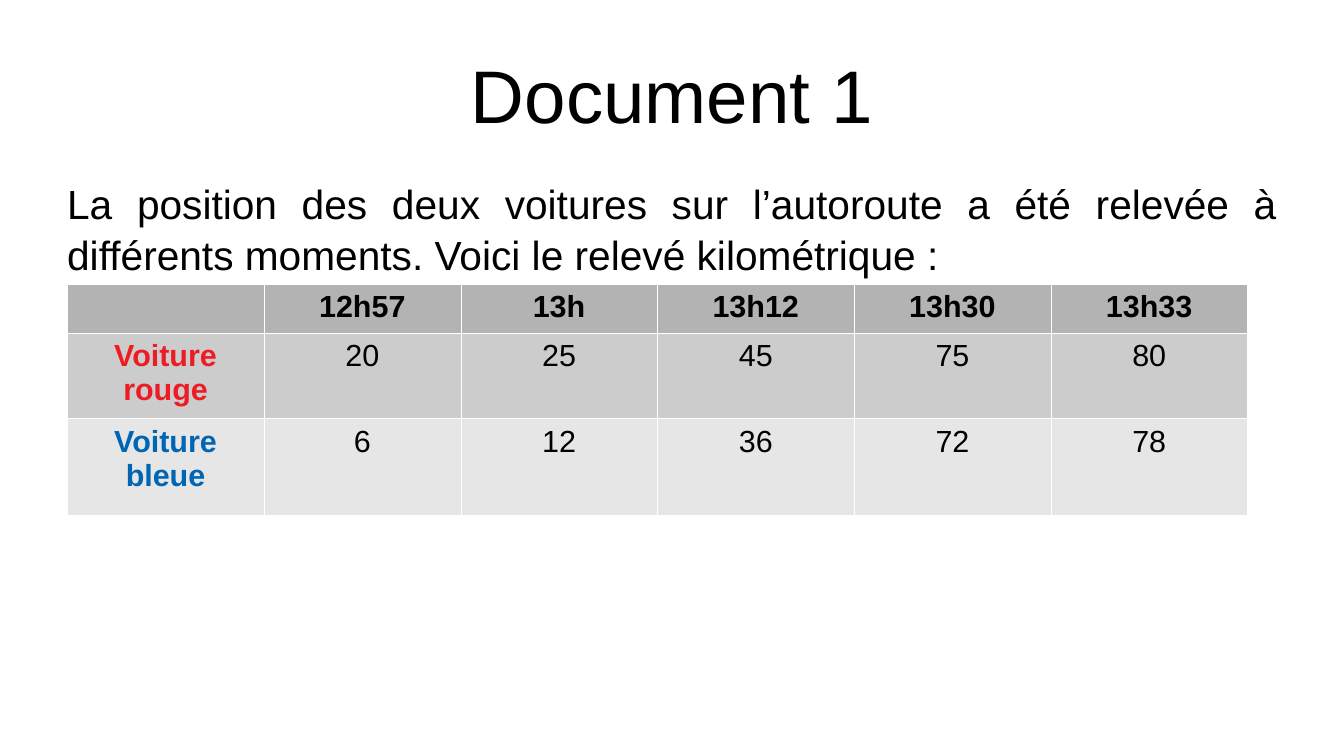
from lxml import etree
from pptx import Presentation
from pptx.dml.color import RGBColor
from pptx.enum.text import MSO_ANCHOR, PP_ALIGN
from pptx.oxml.ns import qn
from pptx.util import Inches, Pt

CENTER, JUSTIFY = PP_ALIGN.CENTER, PP_ALIGN.JUSTIFY
TOP, MIDDLE = MSO_ANCHOR.TOP, MSO_ANCHOR.MIDDLE

SLIDE_WIDTH, SLIDE_HEIGHT = 11.02, 6.2
MARGIN = SLIDE_WIDTH * 0.05
TEXT_WIDTH = SLIDE_WIDTH * 0.9
TABLE_TOP, TABLE_WIDTH = 2.33, 9.68
ROW_HEIGHTS = (0.38, 0.66, 0.79)
ROW_FILLS = ("B3B3B3", "CCCCCC", "E6E6E6")
LABEL_COLORS = ("000000", "ED1C24", "0066B3")
READINGS = (
    ("", "12h57", "13h", "13h12", "13h30", "13h33"),
    ("Voiture rouge", "20", "25", "45", "75", "80"),
    ("Voiture bleue", "6", "12", "36", "72", "78"),
)
INTRODUCTION = (
    "La position des deux voitures sur l’autoroute a été relevée à "
    "différents moments. Voici le relevé kilométrique :"
)


def color(value):
    return RGBColor.from_string(value)


def write(frame, text, size, align, ink="000000", bold=False):
    paragraph = frame.paragraphs[0]
    paragraph.text = text
    paragraph.alignment = align
    for font in [paragraph.font] + [span.font for span in paragraph.runs]:
        font.name = "Arial"
        font.size = Pt(size)
        font.bold = bold
        font.color.rgb = color(ink)
    return paragraph


def add_text(page, top, height, text, size, align, anchor):
    box = page.shapes.add_textbox(
        Inches(MARGIN), Inches(top), Inches(TEXT_WIDTH), Inches(height))
    frame = box.text_frame
    frame.word_wrap = True
    frame.vertical_anchor = anchor
    frame.margin_left = frame.margin_right = 0
    frame.margin_top = frame.margin_bottom = 0
    return write(frame, text, size, align)


def add_borders(cell, line_color, width):
    """Draw the four sides of a cell, placed before its fill as the schema asks."""
    properties = cell._tc.get_or_add_tcPr()
    for position, side in enumerate(("a:lnL", "a:lnR", "a:lnT", "a:lnB")):
        line = etree.Element(qn(side), w=str(Pt(width)))
        fill = etree.SubElement(line, qn("a:solidFill"))
        etree.SubElement(fill, qn("a:srgbClr"), val=line_color)
        properties.insert(position, line)


def add_readings_table(page):
    row_count, column_count = len(READINGS), len(READINGS[0])
    table = page.shapes.add_table(
        row_count, column_count, Inches(MARGIN), Inches(TABLE_TOP),
        Inches(TABLE_WIDTH), Inches(sum(ROW_HEIGHTS))).table
    for column in table.columns:
        column.width = Inches(TABLE_WIDTH / column_count)
    for row_index, values in enumerate(READINGS):
        table.rows[row_index].height = Inches(ROW_HEIGHTS[row_index])
        for column_index, value in enumerate(values):
            cell = table.cell(row_index, column_index)
            is_label = column_index == 0
            ink = LABEL_COLORS[row_index] if is_label else "000000"
            write(cell.text_frame, value, 18, CENTER, ink,
                  bold=is_label or row_index == 0)
            cell.fill.solid()
            cell.fill.fore_color.rgb = color(ROW_FILLS[row_index])
            add_borders(cell, "FFFFFF", 0.06)


def main():
    deck = Presentation()
    deck.slide_width = Inches(SLIDE_WIDTH)
    deck.slide_height = Inches(SLIDE_HEIGHT)
    page = deck.slides.add_slide(deck.slide_layouts[6])
    add_text(page, 0.25, 1.04, "Document 1", 44, CENTER, MIDDLE)
    introduction = add_text(page, 1.45, 3.6, INTRODUCTION, 24, JUSTIFY, TOP)
    introduction.line_spacing = 1.05
    add_readings_table(page)
    deck.save("out.pptx")


if __name__ == "__main__":
    main()
